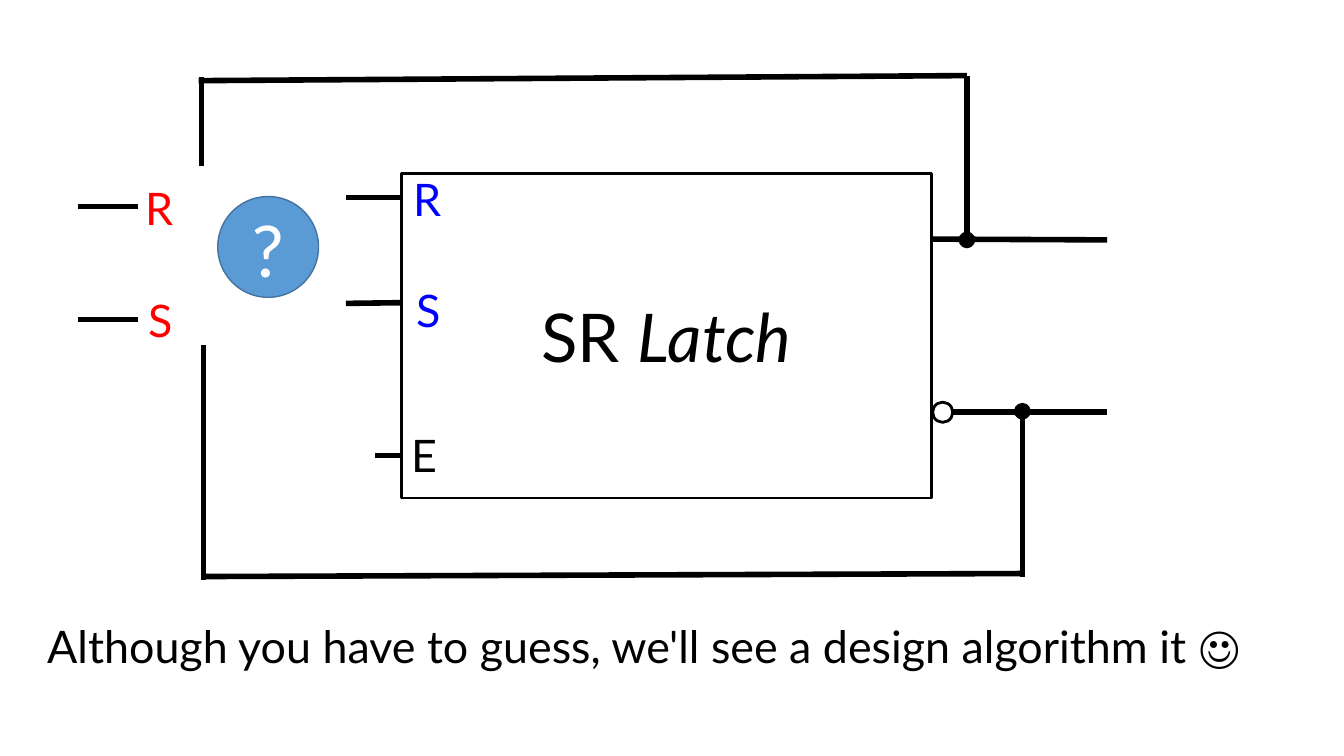
from lxml.etree import SubElement
from pptx import Presentation
from pptx.dml.color import RGBColor
from pptx.enum.shapes import MSO_CONNECTOR, MSO_SHAPE
from pptx.enum.text import MSO_ANCHOR, MSO_AUTO_SIZE, PP_ALIGN
from pptx.oxml.ns import qn
from pptx.util import Inches, Pt

BLACK, WHITE, RED, BLUE = "000000", "FFFFFF", "FF0000", "0000FF"


def rgb(color):
    return RGBColor.from_string(color)


def write(shape, runs, size, color, font="Lato"):
    """Fill the first paragraph with (text, italic) runs."""
    p = shape.text_frame.paragraphs[0]
    for text, italic in runs:
        r = p.add_run()
        r.text = text
        r.font.color.rgb = rgb(color)
        style = {"name": font, "size": Pt(size), "italic": italic}
        for name, value in style.items():
            setattr(r.font, name, value)


prs = Presentation()
prs.slide_width, prs.slide_height = Inches(13.33), Inches(7.5)
s = prs.slides.add_slide(prs.slide_layouts[6])

# Wires: x1, y1, x2, y2, end that carries a junction dot
output_wires = [
    (8.74, 2.37, 10.98, 2.38, None),
    (8.77, 4.09, 10.98, 4.09, None),
]
latch_inputs = [
    (3.43, 1.96, 4.03, 1.96, None),
    (3.43, 3.01, 4.2, 3, None),
    (3.72, 4.52, 5.22, 4.52, None),
]
feedback_wires = [
    (1.97, 0.8, 9.59, 0.75, None),
    (9.59, 2.38, 9.59, 0.75, "a:headEnd"),
    (2, 1.65, 2, 0.76, None),
    (10.14, 5.72, 10.14, 4.08, "a:tailEnd"),
    (2, 5.72, 10.14, 5.69, None),
    (2.02, 5.75, 2.02, 3.42, None),
]
outer_inputs = [(0.77, y, 1.37, y, None) for y in (2.05, 3.17)]

# Closed shapes: preset, box, fill, line, line width, runs, size, font
bubble = (MSO_SHAPE.OVAL, (9.25, 3.99, 0.2, 0.2), WHITE, BLACK, 2, [], 18, "Lato", BLACK)
latch = (MSO_SHAPE.RECTANGLE, (3.98, 1.72, 5.26, 3.22), WHITE, BLACK, 2,
         [("SR ", False), ("Latch", True)], 48, "Lato", BLACK)
unknown = (MSO_SHAPE.OVAL, (2.16, 1.95, 1, 1), "5B9BD5", "43739E", 1,
           [("?", False)], 54, "Calibri", WHITE)

# Back to front: the latch hides the inner ends of its input wires
layers = [
    (output_wires, [bubble]),
    (latch_inputs, [latch]),
    (feedback_wires + outer_inputs, [unknown]),
]
for wires, shapes in layers:
    for x1, y1, x2, y2, dot in wires:
        wire = s.shapes.add_connector(
            MSO_CONNECTOR.STRAIGHT, Inches(x1), Inches(y1), Inches(x2), Inches(y2))
        wire.line.color.rgb = rgb(BLACK)
        wire.line.width = Pt(4)
        if dot:
            SubElement(wire.line._get_or_add_ln(), qn(dot), type="oval")
        SubElement(wire._element.spPr, qn("a:effectLst"))
    for preset, box, fill, line, width, runs, size, font, color in shapes:
        sp = s.shapes.add_shape(preset, *map(Inches, box))
        sp.shadow.inherit = False
        sp.fill.solid()
        sp.fill.fore_color.rgb = rgb(fill)
        sp.line.color.rgb = rgb(line)
        sp.line.width = Pt(width)
        sp.text_frame.vertical_anchor = MSO_ANCHOR.MIDDLE
        sp.text_frame.paragraphs[0].alignment = PP_ALIGN.CENTER
        write(sp, runs, size, color, font)

# Labels: text, left, top, width, colour, wrap
labels = [
    ("R", 4, 1.65, 0.47, BLUE, False),
    ("S", 4.03, 2.76, 0.44, BLUE, False),
    ("E", 3.98, 4.19, 0.44, BLACK, False),
    ("R", 1.34, 1.74, 0.47, RED, False),
    ("S", 1.37, 2.85, 0.44, RED, False),
    ("Although you have to guess, we'll see a design algorithm it ☺",
     0.37, 6.09, 12.39, BLACK, True),
]
for text, left, top, width, color, wrap in labels:
    label = s.shapes.add_textbox(Inches(left), Inches(top), Inches(width), Inches(0.64))
    label.text_frame.word_wrap = wrap
    label.text_frame.auto_size = MSO_AUTO_SIZE.SHAPE_TO_FIT_TEXT
    write(label, [(text, False)], 32, color)

prs.save("out.pptx")
